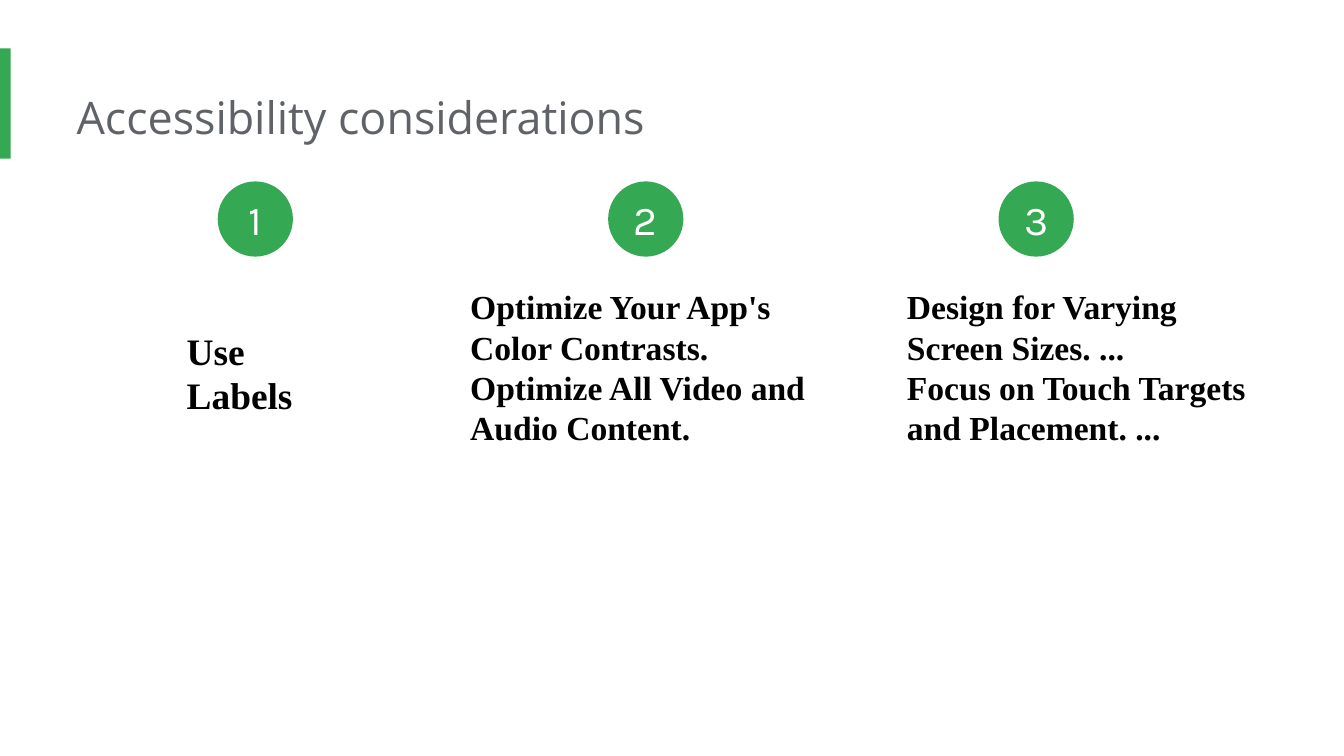
from pptx import Presentation
from pptx.dml.color import RGBColor
from pptx.enum.shapes import MSO_SHAPE
from pptx.enum.text import MSO_ANCHOR, PP_ALIGN
from pptx.util import Inches, Pt

RECT, OVAL = MSO_SHAPE.RECTANGLE, MSO_SHAPE.OVAL
TOP, MIDDLE = MSO_ANCHOR.TOP, MSO_ANCHOR.MIDDLE
LEFT, CENTER = PP_ALIGN.LEFT, PP_ALIGN.CENTER
GREEN, GREY, BLACK, WHITE = "34A853", "5F6368", "000000", "FFFFFF"

SLIDE_WIDTH = 10
SLIDE_HEIGHT = SLIDE_WIDTH * 9 / 16

TITLE = "Accessibility considerations"
# Each consideration: text box (left, top, width, height), font size, paragraphs
CONSIDERATIONS = [
    ((1.29, 2.39, 1.11, 0.77), 20, ["Use Labels"]),
    ((3.4, 2.08, 2.81, 1.61), 18, ["Optimize Your App's Color Contrasts.",
                                   "Optimize All Video and Audio Content."]),
    ((6.65, 2.08, 2.77, 1.61), 18, ["Design for Varying Screen Sizes. ...",
                                    "Focus on Touch Targets and Placement. ..."]),
]
BADGE_FIRST, BADGE_LAST, BADGE_TOP, BADGE_SIZE = 1.62, 7.43, 1.35, 0.56
BADGE_STEP = (BADGE_LAST - BADGE_FIRST) / (len(CONSIDERATIONS) - 1)
LINE_SPACING = 1.2  # line pitch of body text, in ems


def rgb(value):
    """Turn a hex string into a colour."""
    return RGBColor.from_string(value)


def inches(box):
    """Convert a box in inches to lengths."""
    return [Inches(v) for v in box]


def write(shape, lines, font, size, color, bold=False, align=LEFT,
          anchor=TOP, insets=(0.1, 0.05, 0.1, 0.05), pitch=None):
    """Fill a shape with paragraphs in one format."""
    tf = shape.text_frame
    tf.text = "\n".join(lines)
    tf.word_wrap = True
    tf.vertical_anchor = anchor
    (tf.margin_left, tf.margin_top,
     tf.margin_right, tf.margin_bottom) = inches(insets)
    for p in tf.paragraphs:
        p.alignment = align
        p.font.name, p.font.size, p.font.bold = font, Pt(size), bold
        p.font.color.rgb = rgb(color)
        if pitch:
            p.line_spacing = Pt(size * pitch)


def add_solid(s, kind, box):
    """Add a plain green shape without outline or shadow."""
    sp = s.shapes.add_shape(kind, *inches(box))
    sp.shadow.inherit = False
    sp.fill.solid()
    sp.fill.fore_color.rgb = rgb(GREEN)
    sp.line.fill.background()
    return sp


prs = Presentation()
prs.slide_width, prs.slide_height = inches((SLIDE_WIDTH, SLIDE_HEIGHT))
s = prs.slides.add_slide(prs.slide_layouts[5])

add_solid(s, RECT, (0, 0.36, 0.08, 0.82))
title = s.shapes.title
title.left, title.top, title.width, title.height = inches((0.57, 0.57, 7.66, 0.61))
write(title, [TITLE], "Open Sans", 24, GREY, insets=(0, 0.1, 0.1, 0.1))

for i, (box, size, lines) in enumerate(CONSIDERATIONS):
    badge = add_solid(s, OVAL, (BADGE_FIRST + i * BADGE_STEP, BADGE_TOP,
                                BADGE_SIZE, BADGE_SIZE))
    write(badge, [str(i + 1)], "Karla", 22, WHITE, align=CENTER,
          anchor=MIDDLE, insets=(0, 0, 0, 0))
    write(s.shapes.add_textbox(*inches(box)), lines, "Times New Roman", size,
          BLACK, bold=True, pitch=LINE_SPACING)

prs.save("out.pptx")
